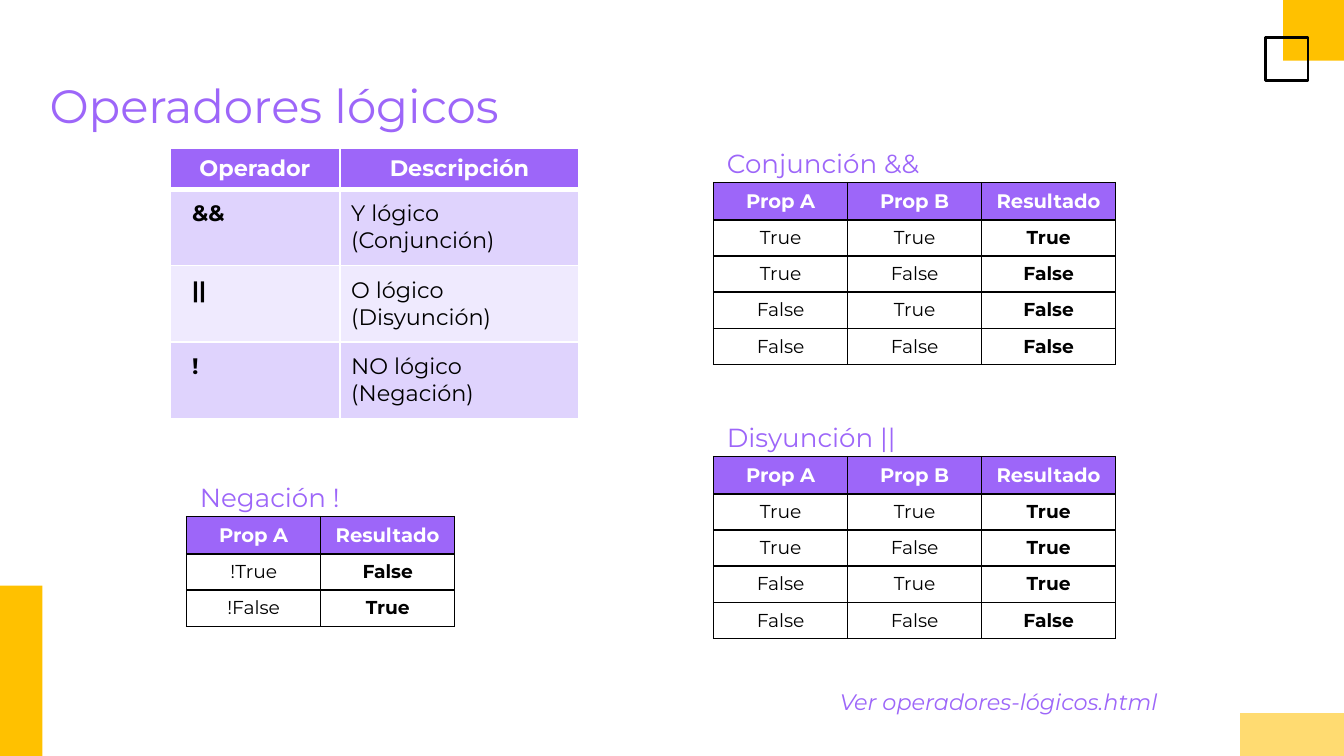
from lxml import etree
from pptx import Presentation
from pptx.dml import color
from pptx.enum import shapes, text
from pptx.oxml import ns
from pptx.util import Pt

FONT = "Montserrat"
PURPLE, WHITE, BLACK = "9D66F9", "FFFFFF", "000000"
AMBER, LIGHT_AMBER = "FFC100", "FFDB71"
BANDS = ("DFD3FD", "EFEAFE")


def rgb(value):
    return color.RGBColor.from_string(value)


def paint(fill, value):
    if value is None:
        fill.background()
    else:
        fill.solid()
        fill.fore_color.rgb = rgb(value)


def set_font(p, size, value, bold=False, italic=False):
    f = p.font
    f.name, f.size, f.bold, f.italic = FONT, Pt(size), bold, italic
    f.color.rgb = rgb(value)


def fill_frame(tf, content, size, italic=False):
    tf.word_wrap = True
    tf.auto_size = text.MSO_AUTO_SIZE.NONE
    tf.vertical_anchor = text.MSO_ANCHOR.TOP
    tf.margin_left = tf.margin_right = tf.margin_top = tf.margin_bottom = Pt(7.2)
    p = tf.paragraphs[0]
    p.text = content
    p.alignment = text.PP_ALIGN.LEFT
    set_font(p, size, PURPLE, italic=italic)


def add_title(s, content, left, top, width, height):
    sp = s.shapes.title
    sp.left, sp.top, sp.width, sp.height = map(Pt, (left, top, width, height))
    fill_frame(sp.text_frame, content, 25)


def add_label(s, content, left, top, width, height, size=14, italic=False):
    sp = s.shapes.add_textbox(*map(Pt, (left, top, width, height)))
    fill_frame(sp.text_frame, content, size, italic)


def add_block(s, left, top, width, height, fill=None, line=None):
    sp = s.shapes.add_shape(shapes.MSO_SHAPE.RECTANGLE,
                            *map(Pt, (left, top, width, height)))
    sp.shadow.inherit = False
    paint(sp.fill, fill)
    paint(sp.line.fill, line)
    if line:
        sp.line.width = Pt(1.5)


def set_borders(cell, value, top=1, bottom=1):
    tc_pr = cell._tc.get_or_add_tcPr()
    for side, width in (("L", 1), ("R", 1), ("T", top), ("B", bottom)):
        ln = etree.SubElement(tc_pr, ns.qn("a:ln" + side), w=str(Pt(width)))
        fill = etree.SubElement(ln, ns.qn("a:solidFill"))
        etree.SubElement(fill, ns.qn("a:srgbClr"), val=value)


def add_grid(s, left, top, widths, heights):
    frame = s.shapes.add_table(len(heights), len(widths), Pt(left), Pt(top),
                               Pt(sum(widths)), Pt(sum(heights)))
    table = frame.table
    table.first_row = table.horz_banding = False
    for column, width in zip(table.columns, widths):
        column.width = Pt(width)
    for row, height in zip(table.rows, heights):
        row.height = Pt(height)
    return table


def set_cell(cell, content, size, value, bold, fill, align):
    paint(cell.fill, fill)
    p = cell.text_frame.paragraphs[0]
    p.text = content
    p.alignment = align
    set_font(p, size, value, bold)


def add_operators(s, left, top, rows):
    table = add_grid(s, left, top, (91.2, 128), [21.8] + [41] * (len(rows) - 1))
    for i, row in enumerate(rows):
        for j, content in enumerate(row):
            cell = table.cell(i, j)
            if i == 0:
                set_borders(cell, WHITE, bottom=3)
                set_cell(cell, content, 12, WHITE, True, PURPLE,
                         text.PP_ALIGN.CENTER)
                continue
            set_borders(cell, WHITE, top=3 if i == 1 else 1)
            cell.margin_left = Pt(12 if j == 0 else 6)
            cell.margin_right = cell.margin_top = cell.margin_bottom = Pt(5.8)
            set_cell(cell, content, 12, BLACK, j == 0, BANDS[(i - 1) % 2],
                     text.PP_ALIGN.LEFT)


def add_truth_table(s, left, top, rows):
    last = len(rows[0]) - 1
    table = add_grid(s, left, top, [71.8] * len(rows[0]),
                     [20] + [19.4] * (len(rows) - 1))
    for i, row in enumerate(rows):
        for j, content in enumerate(row):
            cell = table.cell(i, j)
            set_borders(cell, BLACK)
            size, value, fill = (10.5, WHITE, PURPLE) if i == 0 else (10, BLACK, None)
            set_cell(cell, content, size, value, i == 0 or j == last, fill,
                     text.PP_ALIGN.CENTER)


def binary_rows(operator):
    rows = [("Prop A", "Prop B", "Resultado")]
    for a in (True, False):
        for b in (True, False):
            rows.append((str(a), str(b), str(operator(a, b))))
    return rows


def main():
    prs = Presentation()
    prs.slide_width, prs.slide_height = Pt(720), Pt(405)
    s = prs.slides.add_slide(prs.slide_layouts[5])

    # Corner decoration
    add_block(s, 687.4, 0, 32.6, 32.6, fill=AMBER)
    add_block(s, 0, 313.8, 22.8, 91.2, fill=AMBER)
    add_block(s, 677.8, 20, 23, 23, line=BLACK)
    add_block(s, 664.3, 382, 55.7, 23, fill=LIGHT_AMBER)

    # Title and overview of operators
    add_title(s, "Operadores lógicos", 19.4, 33.8, 682, 45.4)
    add_operators(s, 91, 79.4, [
        ("Operador", "Descripción"),
        ("&&", "Y lógico (Conjunción)"),
        ("||", "O lógico (Disyunción)"),
        ("!", "NO lógico (Negación)"),
    ])

    # Truth tables with their headings
    negation = [("Prop A", "Resultado")]
    negation += [(f"!{a}", str(not a)) for a in (True, False)]
    for heading, left, top, rows in (
        ("Conjunción &&", 382.3, 97.8, binary_rows(lambda a, b: a and b)),
        ("Disyunción ||", 382.3, 244.6, binary_rows(lambda a, b: a or b)),
        ("Negación !", 100, 276.8, negation),
    ):
        add_label(s, heading, left, top - 26.2, 126.7, 26.6)
        add_truth_table(s, left, top, rows)

    # Reference to the example file
    add_label(s, "Ver operadores-lógicos.html", 442.8, 361.4, 229.7, 33,
              size=12, italic=True)

    prs.save("out.pptx")


if __name__ == "__main__":
    main()
